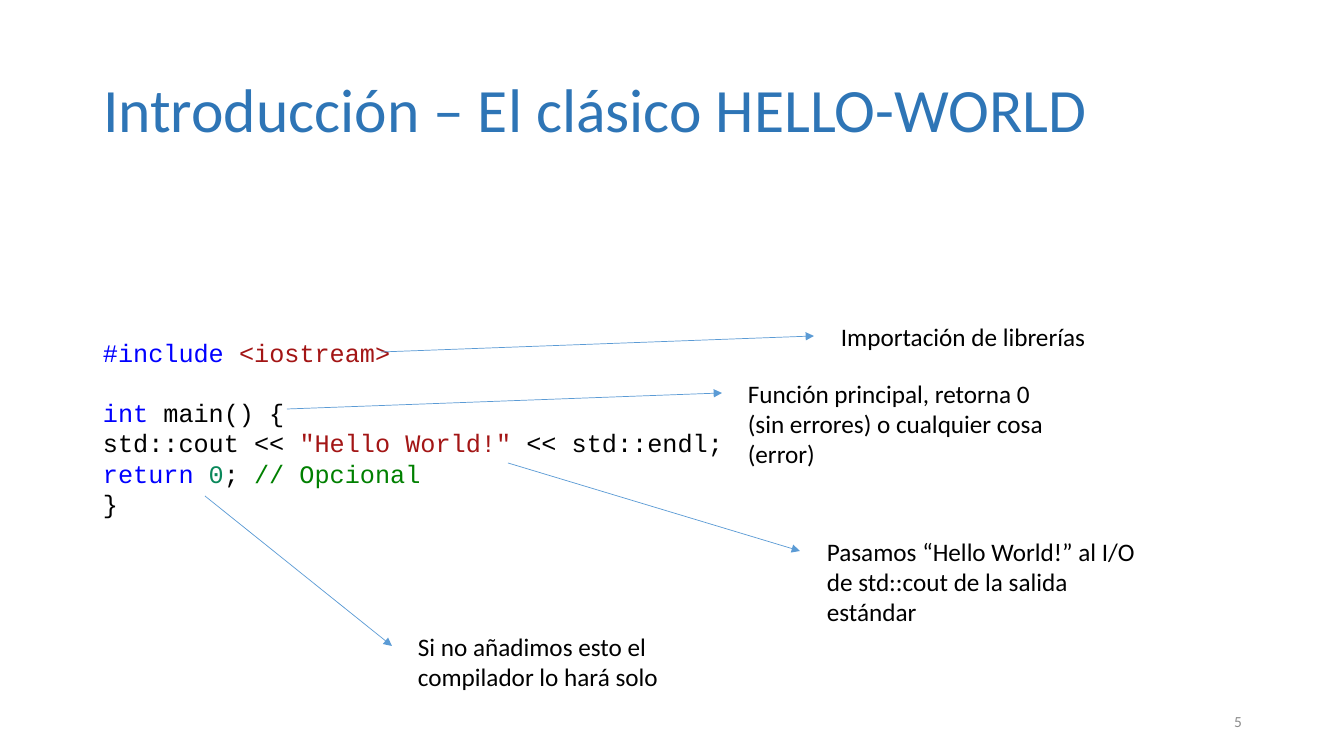
from typing import Any, NamedTuple

from lxml.etree import SubElement
from pptx import Presentation
from pptx.dml.color import RGBColor
from pptx.enum.shapes import MSO_CONNECTOR
from pptx.enum.text import MSO_ANCHOR, PP_ALIGN
from pptx.oxml.ns import qn
from pptx.util import Emu, Pt

EMU_PER_PIXEL = 914400 / 100.8
BLACK, KEYWORD, LITERAL = "000000", "0000FF", "A31515"
NUMBER, COMMENT = "09885A", "008000"
TITLE_BLUE, ARROW_BLUE, PAGE_GRAY = "2E75B6", "5B9BD5", "8C8C8C"
LINE_HEIGHT = Pt(21.6)


class Box(NamedTuple):
    left: int
    top: int
    width: int
    height: int


class Token(NamedTuple):
    text: str
    color: str = BLACK


class Note(NamedTuple):
    text: str
    box: Box
    start: tuple[int, int]
    end: tuple[int, int]


CODE = [
    [Token("#include ", KEYWORD), Token("<iostream>", LITERAL)],
    [Token("int", KEYWORD), Token(" main() {")],
    [Token("std::cout << "), Token('"Hello World!"', LITERAL), Token(" << std::endl;")],
    [Token("return ", KEYWORD), Token("0", NUMBER), Token("; "), Token("// Opcional", COMMENT)],
    [Token("}")],
]
FUNCTION_LINE = 1

NOTES = [
    Note("Importación de librerías", Box(831, 316, 337, 40), (381, 352), (814, 336)),
    Note("Función principal, retorna 0 (sin errores) o cualquier cosa (error)",
         Box(738, 373, 337, 102), (287, 409), (722, 393)),
    Note("Pasamos “Hello World!” al I/O de std::cout de la salida estándar",
         Box(817, 531, 337, 102), (508, 463), (800, 551)),
    Note("Si no añadimos esto el compilador lo hará solo",
         Box(408, 626, 337, 72), (205, 496), (392, 646)),
]


def pixels(value: int) -> Emu:
    return Emu(round(value * EMU_PER_PIXEL))


def rgb(color: str) -> RGBColor:
    return RGBColor.from_string(color)


def apply_format(target: Any, values: dict[str, Any]) -> None:
    for name, value in values.items():
        setattr(target, name, value)


def place(shape: Any, box: Box) -> None:
    apply_format(shape, {name: pixels(value) for name, value in box._asdict().items()})


def add_run(paragraph: Any, token: Token, font: str, size: int) -> None:
    run = paragraph.add_run()
    run.text = token.text
    apply_format(run.font, {"name": font, "size": Pt(size)})
    run.font.color.rgb = rgb(token.color)


def add_text_box(slide: Any, box: Box) -> Any:
    shape = slide.shapes.add_textbox(*map(pixels, box))
    shape.text_frame.word_wrap = True
    return shape.text_frame


def add_title(slide: Any, text: str, box: Box) -> None:
    title = slide.shapes.title
    place(title, box)
    title.text_frame.vertical_anchor = MSO_ANCHOR.MIDDLE
    paragraph = title.text_frame.paragraphs[0]
    apply_format(paragraph, {"alignment": PP_ALIGN.LEFT, "line_spacing": 0.9})
    add_run(paragraph, Token(text, TITLE_BLUE), "Calibri", 44)


def add_code(slide: Any, box: Box) -> None:
    frame = add_text_box(slide, box)
    for index, tokens in enumerate(CODE):
        paragraph = frame.paragraphs[0] if index == 0 else frame.add_paragraph()
        gap = LINE_HEIGHT if index == FUNCTION_LINE else Pt(0)
        apply_format(paragraph, {"line_spacing": LINE_HEIGHT, "space_before": gap})
        for token in tokens:
            add_run(paragraph, token, "Courier New", 18)


def add_arrow(slide: Any, start: tuple[int, int], end: tuple[int, int]) -> None:
    arrow = slide.shapes.add_connector(MSO_CONNECTOR.STRAIGHT, *map(pixels, start + end))
    arrow.line.color.rgb = rgb(ARROW_BLUE)
    arrow.line.width = Pt(0.5)
    SubElement(arrow.line._get_or_add_ln(), qn("a:tailEnd"), type="triangle")
    SubElement(arrow._element.spPr, qn("a:effectLst"))


def add_note(slide: Any, note: Note) -> None:
    frame = add_text_box(slide, note.box)
    add_run(frame.paragraphs[0], Token(note.text), "Calibri", 18)
    add_arrow(slide, note.start, note.end)


def add_page_number(slide: Any, text: str, box: Box) -> None:
    frame = add_text_box(slide, box)
    frame.vertical_anchor = MSO_ANCHOR.MIDDLE
    frame.paragraphs[0].alignment = PP_ALIGN.RIGHT
    add_run(frame.paragraphs[0], Token(text, PAGE_GRAY), "Calibri", 11)


presentation = Presentation()
apply_format(presentation, {"slide_width": pixels(1344), "slide_height": pixels(756)})
slide = presentation.slides.add_slide(presentation.slide_layouts.get_by_name("Title Only"))
add_title(slide, "Introducción – El clásico HELLO-WORLD", Box(93, 40, 1159, 146))
add_page_number(slide, "5", Box(950, 701, 302, 40))
add_code(slide, Box(93, 332, 787, 224))
for note in NOTES:
    add_note(slide, note)
presentation.save("out.pptx")
